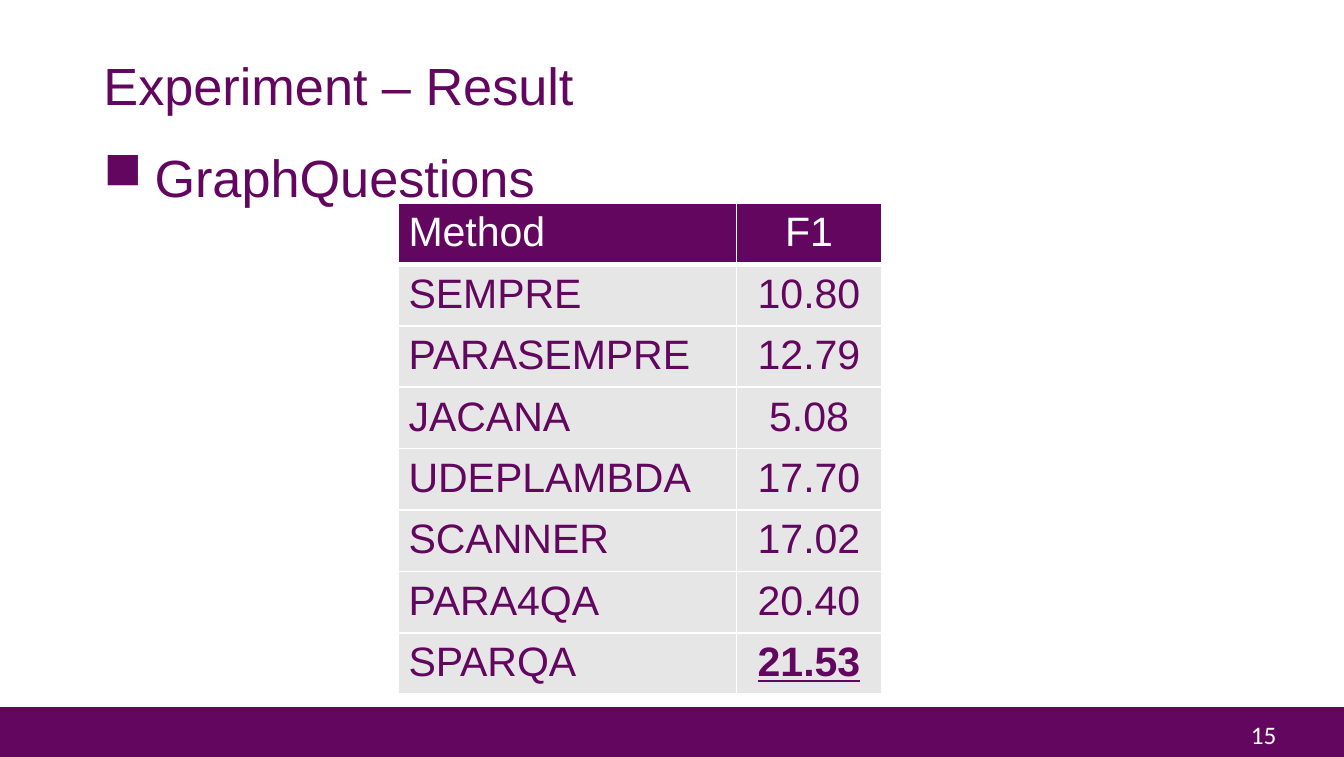
from lxml.etree import SubElement
from pptx import Presentation
from pptx.dml.color import RGBColor
from pptx.enum.shapes import MSO_SHAPE
from pptx.enum.text import MSO_ANCHOR, PP_ALIGN
from pptx.oxml.ns import qn
from pptx.util import Inches, Pt

PURPLE = RGBColor(0x63, 0x06, 0x5F)
GREY = RGBColor(0xE7, 0xE6, 0xE6)
WHITE = RGBColor(0xFF, 0xFF, 0xFF)

RESULTS = [
    ("Method", "F1"),
    ("SEMPRE", "10.80"),
    ("PARASEMPRE", "12.79"),
    ("JACANA", "5.08"),
    ("UDEPLAMBDA", "17.70"),
    ("SCANNER", "17.02"),
    ("PARA4QA", "20.40"),
    ("SPARQA", "21.53"),
]


class SlideBuilder:
    font_name = "Arial"
    heading_size = 28
    table_size = 22
    inset = Inches(0.08)

    def __init__(self, deck):
        self.page = deck.slides.add_slide(deck.slide_layouts[5])

    def style(self, para, size, color, name=font_name):
        para.font.name = name
        para.font.size = Pt(size)
        para.font.color.rgb = color

    def place(self, shape, left, top, width, height):
        shape.left, shape.top = Inches(left), Inches(top)
        shape.width, shape.height = Inches(width), Inches(height)

    def title(self, text, *area):
        shape = self.page.shapes.title
        self.place(shape, *area)
        frame = shape.text_frame
        frame.text = text
        frame.vertical_anchor = MSO_ANCHOR.MIDDLE
        frame.margin_left = frame.margin_right = self.inset
        frame.margin_top = frame.margin_bottom = Inches(0.04)
        para = frame.paragraphs[0]
        para.alignment = PP_ALIGN.LEFT
        para.line_spacing = 0.9
        self.style(para, self.heading_size, PURPLE)

    def bar(self, *area):
        shape = self.page.shapes.add_shape(
            MSO_SHAPE.RECTANGLE, *map(Inches, area))
        shape.shadow.inherit = False
        shape.fill.solid()
        shape.fill.fore_color.rgb = PURPLE
        shape.line.fill.background()

    def page_number(self, text, *area):
        box = self.page.shapes.add_textbox(*map(Inches, area))
        box.text_frame.text = text
        self.style(box.text_frame.paragraphs[0], 13.5, WHITE, "Calibri")

    def bullet(self, text, *area):
        box = self.page.shapes.add_textbox(*map(Inches, area))
        frame = box.text_frame
        frame.word_wrap = True
        frame.margin_left = frame.margin_right = self.inset
        frame.margin_top = Inches(0.06)
        frame.text = text
        para = frame.paragraphs[0]
        para.line_spacing = 0.9
        props = para._p.get_or_add_pPr()
        props.set("marL", str(Inches(0.38)))
        props.set("indent", str(-Inches(0.38)))
        color = SubElement(props, qn("a:buClr"))
        SubElement(color, qn("a:srgbClr"), val=str(PURPLE))
        SubElement(props, qn("a:buChar"), char="■")
        self.style(para, self.heading_size, PURPLE)

    def borders(self, cell, bottom):
        props = cell._tc.get_or_add_tcPr()
        edges = (("a:lnL", 1), ("a:lnR", 1), ("a:lnT", 1), ("a:lnB", bottom))
        for position, (tag, width) in enumerate(edges):
            line = SubElement(props, qn(tag), w=str(Pt(width)))
            fill = SubElement(line, qn("a:solidFill"))
            SubElement(fill, qn("a:srgbClr"), val=str(WHITE))
            props.insert(position, line)

    def table(self, rows, left, top, widths, row_height):
        table = self.page.shapes.add_table(
            len(rows), len(widths), Inches(left), Inches(top),
            Inches(sum(widths)), Inches(row_height * len(rows))).table
        for column, width in zip(table.columns, widths):
            column.width = Inches(width)
        for row_index, row in enumerate(rows):
            is_header = row_index == 0
            for column_index, text in enumerate(row):
                cell = table.cell(row_index, column_index)
                cell.text = text
                cell.margin_left = cell.margin_right = self.inset
                cell.margin_top, cell.margin_bottom = Inches(0.05), Inches(0.04)
                cell.fill.solid()
                cell.fill.fore_color.rgb = PURPLE if is_header else GREY
                self.borders(cell, 3 if is_header else 1)
                para = cell.text_frame.paragraphs[0]
                para.alignment = PP_ALIGN.CENTER if column_index else PP_ALIGN.LEFT
                self.style(para, self.table_size, WHITE if is_header else PURPLE)
                para.font.bold = False
        best = table.cell(len(rows) - 1, 1).text_frame.paragraphs[0]
        best.font.bold = True
        best.font.underline = True


def main():
    deck = Presentation()
    deck.slide_width, deck.slide_height = Inches(10), Inches(5.63)
    slide = SlideBuilder(deck)
    slide.bar(0, 5.26, 10, 0.37)
    slide.page_number("15", 9.21, 5.3, 0.43, 0.33)
    slide.title("Experiment – Result", 0.69, 0.39, 8.62, 0.54)
    slide.bullet("GraphQuestions", 0.69, 1.07, 8.62, 3.98)
    slide.table(RESULTS, 2.96, 1.51, (2.52, 1.08), 0.44)
    deck.save("out.pptx")


if __name__ == "__main__":
    main()
